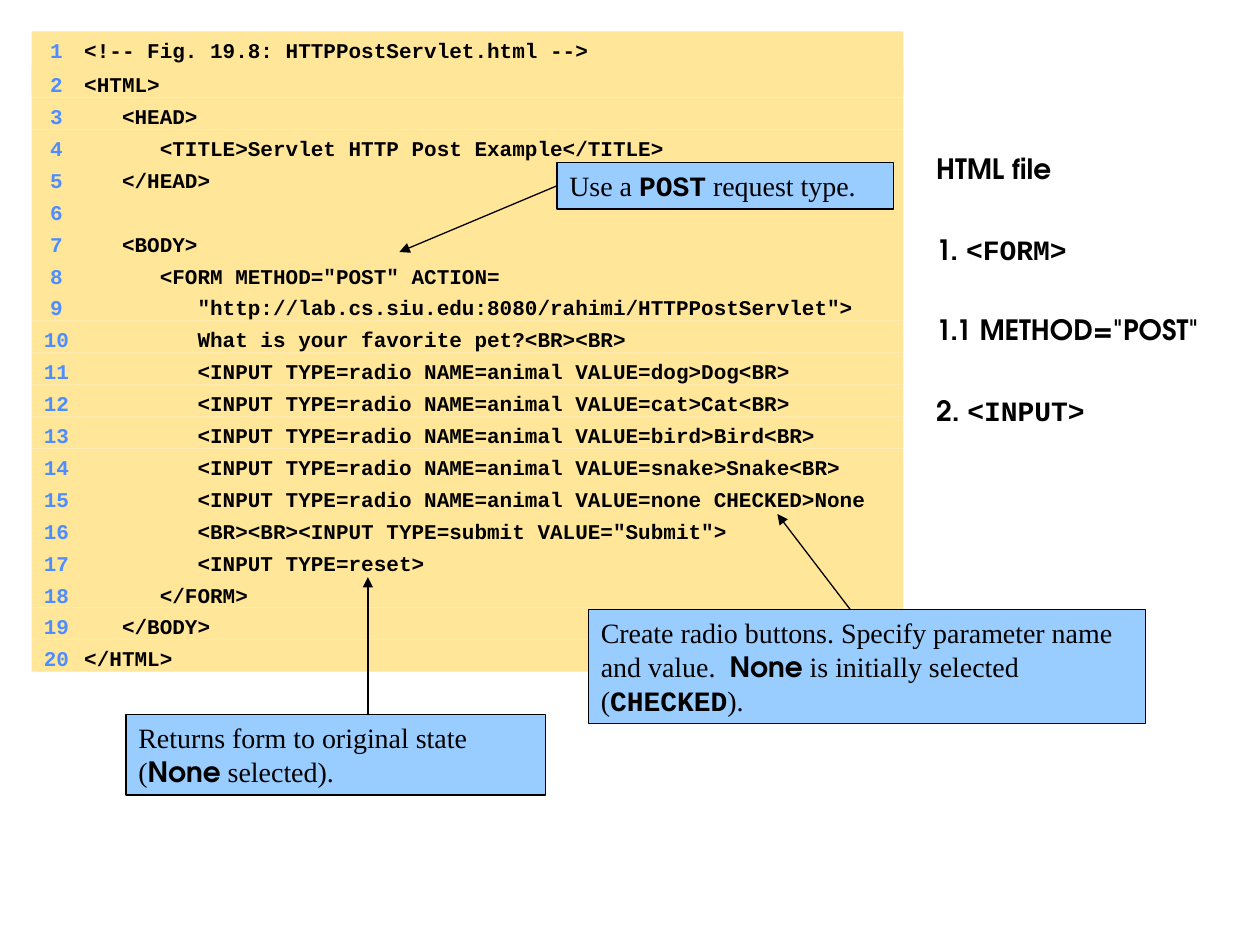
from dataclasses import dataclass

from lxml.etree import SubElement
from pptx import Presentation
from pptx.dml.color import RGBColor
from pptx.enum.shapes import MSO_CONNECTOR, MSO_SHAPE
from pptx.enum.text import MSO_ANCHOR, MSO_AUTO_SIZE, PP_ALIGN
from pptx.oxml.ns import qn
from pptx.util import Inches, Pt


@dataclass(frozen=True)
class Theme:
    ink: RGBColor = RGBColor.from_string("000000")
    number: RGBColor = RGBColor.from_string("4D8DFF")
    code_fill: RGBColor = RGBColor.from_string("FFE699")
    callout_fill: RGBColor = RGBColor.from_string("99CCFF")
    mono: str = "Courier New"
    sans: str = "TeX Gyre Adventor"
    serif: str = "Times New Roman"
    code_size: Pt = Pt(12)
    text_size: Pt = Pt(16)
    line_width: Pt = Pt(0.75)


T = Theme()

CODE = """\
<!-- Fig. 19.8: HTTPPostServlet.html -->
<HTML>
   <HEAD>
      <TITLE>Servlet HTTP Post Example</TITLE>
   </HEAD>

   <BODY>
      <FORM METHOD="POST" ACTION=
         "http://lab.cs.siu.edu:8080/rahimi/HTTPPostServlet">
         What is your favorite pet?<BR><BR>
         <INPUT TYPE=radio NAME=animal VALUE=dog>Dog<BR>
         <INPUT TYPE=radio NAME=animal VALUE=cat>Cat<BR>
         <INPUT TYPE=radio NAME=animal VALUE=bird>Bird<BR>
         <INPUT TYPE=radio NAME=animal VALUE=snake>Snake<BR>
         <INPUT TYPE=radio NAME=animal VALUE=none CHECKED>None
         <BR><BR><INPUT TYPE=submit VALUE="Submit">
         <INPUT TYPE=reset>
      </FORM>
   </BODY>
</HTML>""".split("\n")

OUTLINE = [
    [("HTML file", T.sans)],
    [("1. ", T.sans), ("<FORM>", T.mono)],
    [('1.1 METHOD="POST"', T.sans)],
    [("2. ", T.sans), ("<INPUT>", T.mono)],
]


def write(p, text, *, font, size=T.text_size, color=T.ink, bold=True):
    r = p.add_run()
    r.text = text
    r.font.name, r.font.size, r.font.bold = font, size, bold
    r.font.color.rgb = color


def add_panel(s, box, fill):
    """Add a filled rectangle with left, top-anchored text; return it."""
    sp = s.shapes.add_shape(MSO_SHAPE.RECTANGLE, *map(Inches, box))
    sp.shadow.inherit = False
    sp.fill.solid()
    sp.fill.fore_color.rgb = fill
    sp.line.fill.background()
    tf = sp.text_frame
    tf.word_wrap = True
    tf.vertical_anchor = MSO_ANCHOR.TOP
    tf.paragraphs[0].alignment = PP_ALIGN.LEFT
    return sp


def add_tabs(p, stops):
    tabs = SubElement(p._p.get_or_add_pPr(), qn("a:tabLst"))
    for pos, align in stops:
        SubElement(tabs, qn("a:tab"), pos=str(Inches(pos)), algn=align)


def add_outline(s, box):
    sp = s.placeholders[1]
    sp.left, sp.top, sp.width, sp.height = map(Inches, box)
    tf = sp.text_frame
    tf.word_wrap = True
    tf.auto_size = MSO_AUTO_SIZE.NONE
    tf.vertical_anchor = MSO_ANCHOR.TOP
    for i, runs in enumerate(OUTLINE):
        p = tf.add_paragraph() if i else tf.paragraphs[0]
        p.alignment = PP_ALIGN.LEFT
        p.space_before = Pt(27 if i else 0)
        for text, font in runs:
            write(p, text, font=font)


def add_code(s, box):
    """Stack one panel per line; the first is taller and runs under the second."""
    left, top, width, height = box
    first_step, first_height = 0.27, 0.5
    step = (height - first_step) / (len(CODE) - 1)
    for i, line in enumerate(CODE):
        y = top + first_step + (i - 1) * step if i else top
        row = (left, y, width, step if i else first_height)
        p = add_panel(s, row, T.code_fill).text_frame.paragraphs[0]
        add_tabs(p, [(0.15, "r"), (0.32, "l")])
        write(p, f"\t{i + 1}\t", font=T.mono, size=T.code_size, color=T.number)
        if line:
            write(p, line, font=T.mono, size=T.code_size)


def add_callout(s, box, runs, start, target, site=None):
    """Add a note and its arrow; site is the side middle the arrow joins."""
    sp = add_panel(s, box, T.callout_fill)
    sp.line.color.rgb = T.ink
    sp.line.width = T.line_width
    sp.text_frame.auto_size = MSO_AUTO_SIZE.SHAPE_TO_FIT_TEXT
    for text, font in runs:
        write(sp.text_frame.paragraphs[0], text, font=font, bold=font != T.serif)

    arrow = s.shapes.add_connector(MSO_CONNECTOR.STRAIGHT, *map(Inches, start + target))
    if site is not None:
        arrow.begin_connect(sp, site)
    arrow.line.color.rgb = T.ink
    arrow.line.width = T.line_width
    spPr = arrow._element.spPr
    SubElement(spPr.find(qn("a:ln")), qn("a:tailEnd"), type="triangle")
    SubElement(spPr, qn("a:effectLst"))


def main():
    prs = Presentation()
    prs.slide_width, prs.slide_height = Inches(10), Inches(7.5)
    s = prs.slides.add_slide(prs.slide_layouts[0])
    title = s.shapes.title._element
    title.getparent().remove(title)

    add_outline(s, (7.33, 1.15, 2.67, 6.35))
    add_code(s, (0.25, 0.25, 6.92, 5.08))
    add_callout(
        s, (4.67, 4.84, 4.42, 0.9),
        [("Create radio buttons. Specify parameter name and value.  ", T.serif),
         ("None", T.sans), (" is initially selected (", T.serif),
         ("CHECKED", T.mono), (").", T.serif)],
        start=(6.75, 4.84), target=(6.17, 4.08))
    add_callout(
        s, (4.42, 1.29, 2.67, 0.37),
        [("Use a ", T.serif), ("POST", T.mono), (" request type.", T.serif)],
        start=(4.42, 1.48), target=(3.17, 2), site=1)
    add_callout(
        s, (1, 5.67, 3.33, 0.64),
        [("Returns form to original state (", T.serif), ("None", T.sans),
         (" selected).", T.serif)],
        start=(2.92, 5.67), target=(2.92, 4.58))
    prs.save("out.pptx")


if __name__ == "__main__":
    main()
